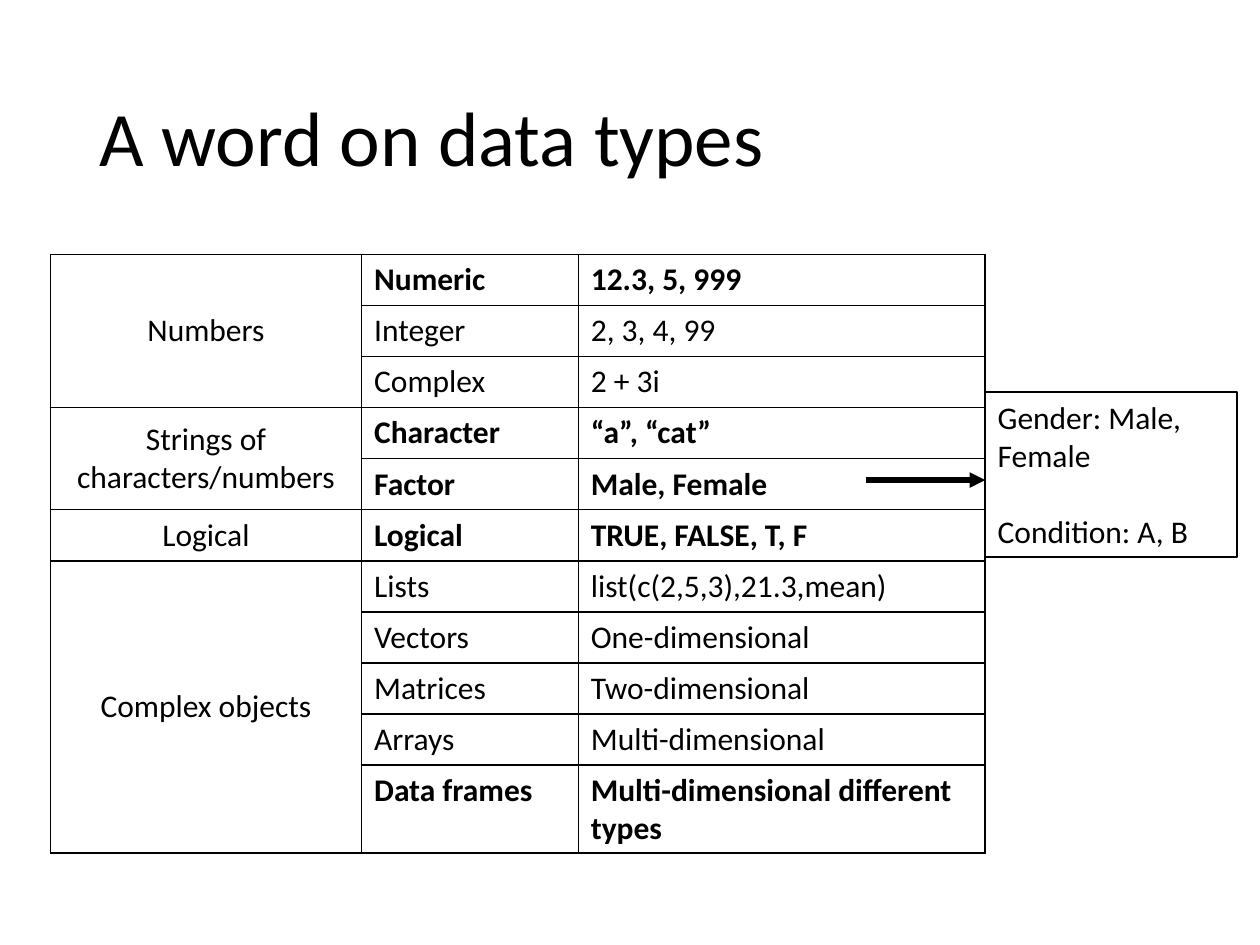
"""Build a slide with a table of data types and a callout of factor examples."""
from lxml.etree import SubElement
from pptx import Presentation
from pptx.dml.color import RGBColor
from pptx.enum.shapes import MSO_CONNECTOR, MSO_SHAPE
from pptx.enum.text import MSO_ANCHOR, PP_ALIGN
from pptx.oxml.ns import qn
from pptx.util import Inches, Pt

FONT, BLACK, WHITE = "Calibri", "000000", "FFFFFF"
TITLE = "A word on data types"
GROUPS = [
    ("Numbers", [("Numeric", "12.3, 5, 999", True),
                 ("Integer", "2, 3, 4, 99", False),
                 ("Complex", "2 + 3i", False)]),
    ("Strings of characters/numbers", [("Character", "“a”, “cat”", True),
                                       ("Factor", "Male, Female", True)]),
    ("Logical", [("Logical", "TRUE, FALSE, T, F", True)]),
    ("Complex objects", [("Lists", "list(c(2,5,3),21.3,mean)", False),
                         ("Vectors", "One-dimensional", False),
                         ("Matrices", "Two-dimensional", False),
                         ("Arrays", "Multi-dimensional", False),
                         ("Data frames", "Multi-dimensional different types", True)]),
]
EXAMPLES = ["Gender: Male, Female", "Condition: A, B"]
COLS = [2.47, 1.72, 3.23]
LEFT, TOP, HEIGHT = 0.4, 2.02, 4.46
RIGHT = LEFT + sum(COLS)
ARROW_Y, ARROW_LEN = 3.81, 0.95


def color(value):
    return RGBColor.from_string(value)


def add_run(p, text, size=18, bold=False):
    r = p.add_run()
    r.text = text
    r.font.name, r.font.size, r.font.bold = FONT, Pt(size), bold
    r.font.color.rgb = color(BLACK)


def style_cell(cell):
    tc_pr = cell._tc.get_or_add_tcPr()
    for side in ("a:lnL", "a:lnR", "a:lnT", "a:lnB"):
        ln = SubElement(tc_pr, qn(side), w=str(Pt(1)))
        SubElement(SubElement(ln, qn("a:solidFill")), qn("a:srgbClr"), val=BLACK)
    cell.fill.background()


def fill_cell(cell, text, bold=False):
    add_run(cell.text_frame.paragraphs[0], text, bold=bold)


prs = Presentation()
prs.slide_width, prs.slide_height = Inches(10), Inches(7.5)
s = prs.slides.add_slide(prs.slide_layouts[6])

title = s.shapes.add_textbox(Inches(0.69), Inches(0.4), Inches(8.62), Inches(1.45))
tf = title.text_frame
tf.word_wrap, tf.vertical_anchor = True, MSO_ANCHOR.MIDDLE
tf.paragraphs[0].line_spacing = 0.9
add_run(tf.paragraphs[0], TITLE, 44)

count = sum(len(types) for _, types in GROUPS)
table = s.shapes.add_table(count, len(COLS), Inches(LEFT), Inches(TOP),
                           Inches(sum(COLS)), Inches(HEIGHT)).table
table.first_row = table.horz_banding = False
for column, width in zip(table.columns, COLS):
    column.width = Inches(width)
for cell in table.iter_cells():
    style_cell(cell)

row = 0
for group, types in GROUPS:
    head = table.cell(row, 0)
    if len(types) > 1:
        head.merge(table.cell(row + len(types) - 1, 0))
    fill_cell(head, group)
    head.vertical_anchor = MSO_ANCHOR.MIDDLE
    head.text_frame.paragraphs[0].alignment = PP_ALIGN.CENTER
    for name, example, bold in types:
        fill_cell(table.cell(row, 1), name, bold)
        fill_cell(table.cell(row, 2), example, bold)
        row += 1

box = s.shapes.add_shape(MSO_SHAPE.RECTANGLE, Inches(RIGHT), Inches(3.11),
                         Inches(2), Inches(1.31))
box.shadow.inherit = False
box.fill.solid()
box.fill.fore_color.rgb = color(WHITE)
box.line.color.rgb, box.line.width = color(BLACK), Pt(1)
tf = box.text_frame
tf.word_wrap, tf.vertical_anchor = True, MSO_ANCHOR.TOP
for i, text in enumerate(EXAMPLES):
    p = tf.add_paragraph() if i else tf.paragraphs[0]
    p.alignment = PP_ALIGN.LEFT
    p.space_before = Pt(22 * i)
    add_run(p, text)

arrow = s.shapes.add_connector(MSO_CONNECTOR.STRAIGHT, Inches(RIGHT - ARROW_LEN),
                               Inches(ARROW_Y), Inches(RIGHT), Inches(ARROW_Y))
arrow.line.color.rgb, arrow.line.width = color(BLACK), Pt(3)
SubElement(arrow.line._get_or_add_ln(), qn("a:tailEnd"), type="triangle")
SubElement(arrow._element.spPr, qn("a:effectLst"))

prs.save("out.pptx")
